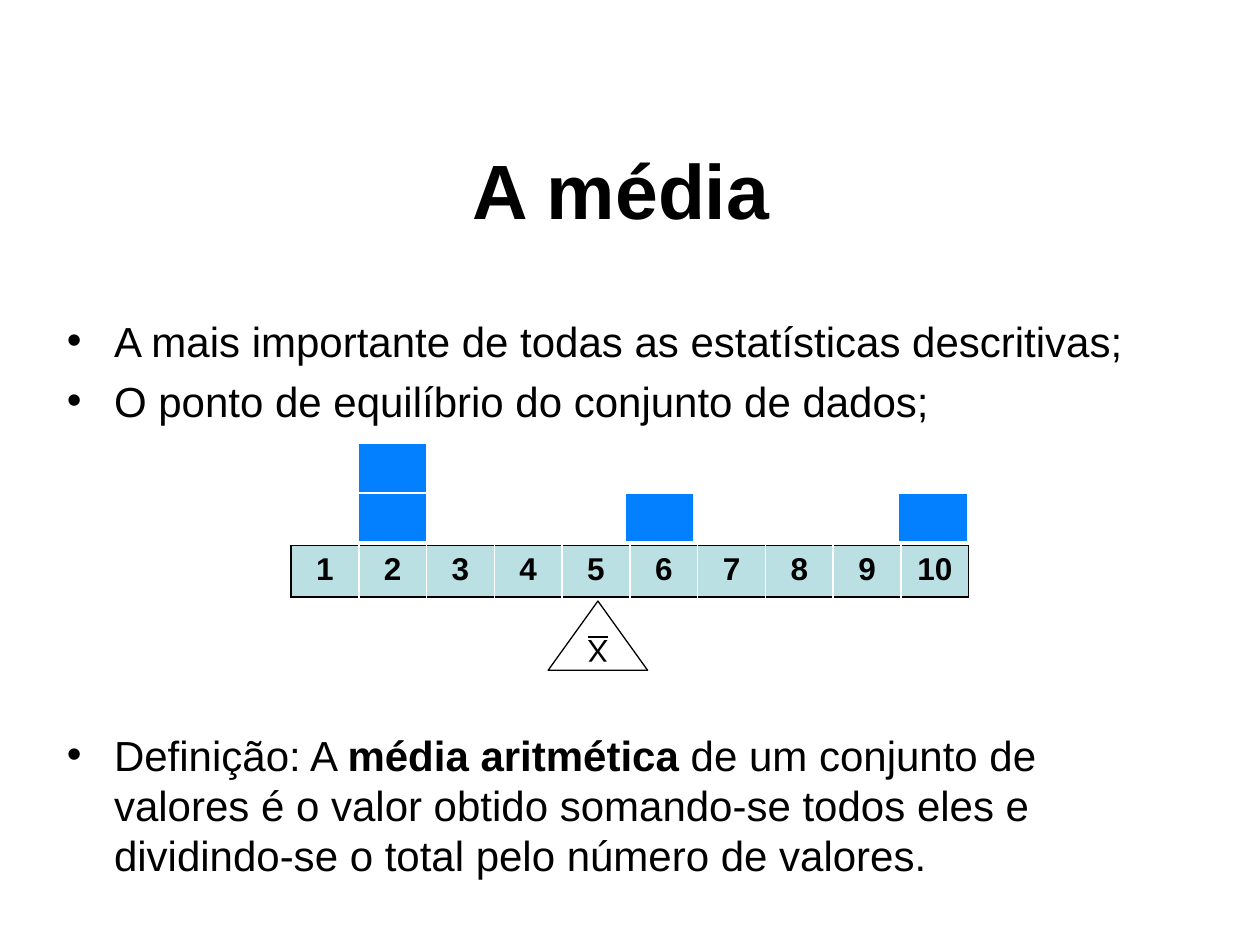
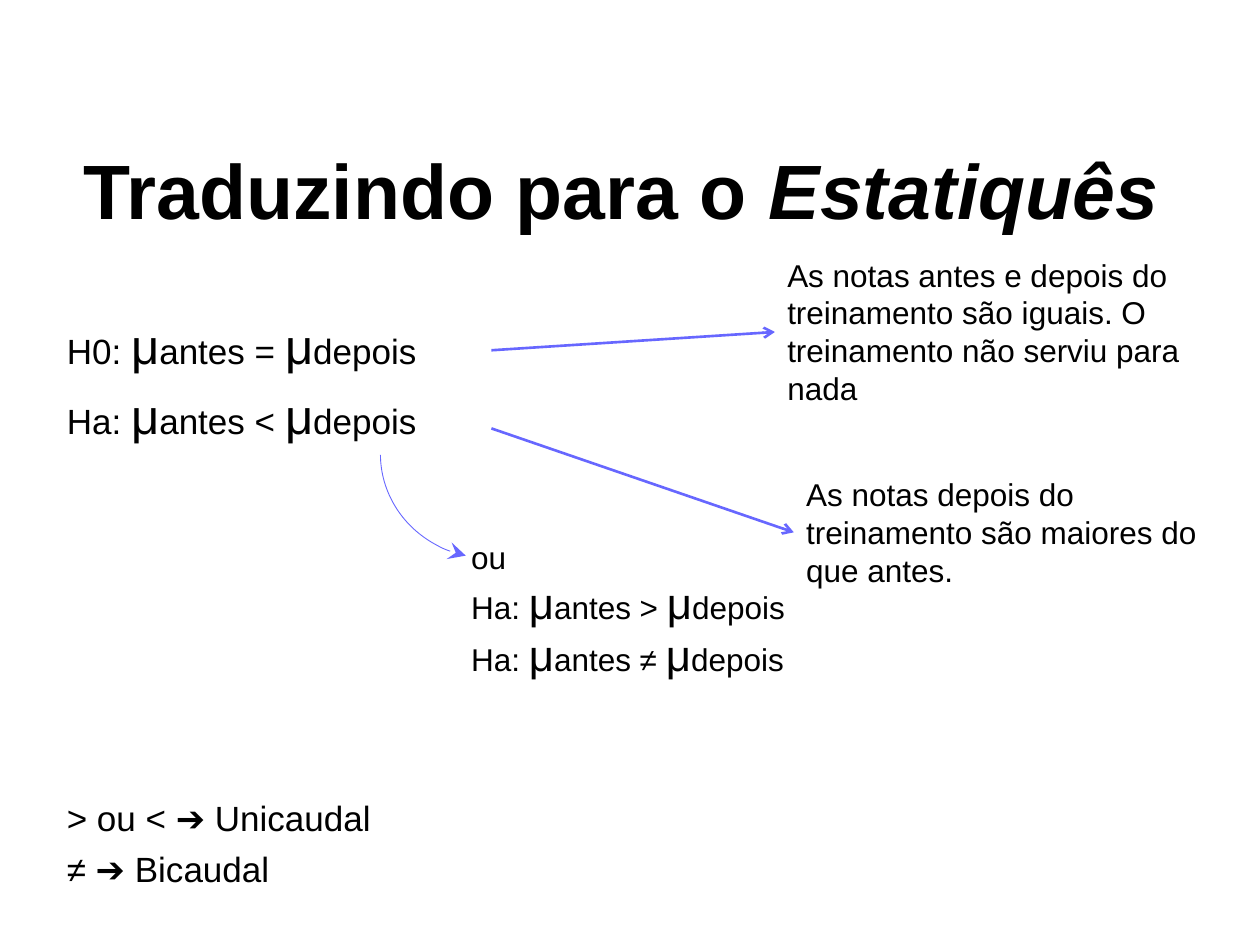
from dataclasses import dataclass

from lxml.etree import SubElement
from pptx import Presentation
from pptx.dml.color import RGBColor
from pptx.enum.shapes import MSO_CONNECTOR as Connector
from pptx.enum.shapes import MSO_SHAPE as Shape
from pptx.enum.text import MSO_ANCHOR as Anchor
from pptx.enum.text import MSO_AUTO_SIZE as AutoSize
from pptx.enum.text import PP_ALIGN as Align
from pptx.oxml.ns import qn
from pptx.util import Pt


@dataclass(frozen=True)
class Theme:
    font: str = "Arial"
    text: RGBColor = RGBColor(0x00, 0x00, 0x00)
    border: RGBColor = RGBColor(0xFF, 0xFF, 0xFF)
    scale_fill: RGBColor = RGBColor(0xBB, 0xE0, 0xE3)
    block: RGBColor = RGBColor(0x02, 0x80, 0xFF)
    arrow: RGBColor = RGBColor(0x67, 0x67, 0xFF)
    title: int = 44
    bullet: int = 24
    hypothesis: int = 20
    hypothesis_mu: int = 28
    label: int = 18
    label_mu: int = 25


THEME = Theme()
TITLE_BOX = (43, 99, 900, 102)
BODY_BOX = (43, 241, 900, 425)
LAYOUT_TITLE_BODY = 1


def px(value):
    """100 px to the inch."""
    return value * 9144


def place(shape, box):
    shape.left, shape.top, shape.width, shape.height = map(px, box)


# ---- Text ----
def style(font, size, bold=False, italic=False):
    font.name = THEME.font
    font.size = Pt(size)
    font.color.rgb = THEME.text
    font.bold = bold
    font.italic = italic


def add_run(paragraph, text, size, bold=False, italic=False):
    run = paragraph.add_run()
    run.text = text
    style(run.font, size, bold, italic)


def add_formula(paragraph, text, size, mu_size):
    """Write the text with every μ enlarged."""
    for index, part in enumerate(text.split("μ")):
        if index:
            add_run(paragraph, "μ", mu_size)
        if part:
            add_run(paragraph, part, size)


def next_paragraph(text_frame, index):
    return text_frame.add_paragraph() if index else text_frame.paragraphs[0]


def add_textbox(slide, box, wrap=True):
    shape = slide.shapes.add_textbox(*map(px, box))
    shape.text_frame.word_wrap = wrap
    shape.text_frame.auto_size = AutoSize.SHAPE_TO_FIT_TEXT
    return shape


def add_title(slide, pieces):
    title = slide.shapes.title
    place(title, TITLE_BOX)
    text_frame = title.text_frame
    text_frame.auto_size = AutoSize.NONE
    text_frame.vertical_anchor = Anchor.MIDDLE
    paragraph = text_frame.paragraphs[0]
    paragraph.alignment = Align.CENTER
    for text, italic in pieces:
        add_run(paragraph, text, THEME.title, bold=True, italic=italic)


def body_frame(slide):
    body = slide.placeholders[1]
    place(body, BODY_BOX)
    text_frame = body.text_frame
    text_frame.auto_size = AutoSize.NONE
    text_frame.margin_top = px(9)
    return text_frame


# ---- Lines ----
def add_arrowhead(shape, end, kind, size="med"):
    shape.line.fill.solid()
    shape.line.color.rgb = THEME.arrow
    line = shape.line._get_or_add_ln()
    SubElement(line, qn(f"a:{end}"), type=kind, w=size, len=size)


def add_arrow_to(slide, start, target):
    """Arrow from a point to the middle of the target's left side."""
    arrow = slide.shapes.add_connector(
        Connector.STRAIGHT, *map(px, start),
        target.left, target.top + target.height // 2)
    arrow.end_connect(target, 1)
    arrow.line.width = Pt(1.5)
    add_arrowhead(arrow, "tailEnd", "arrow")
    SubElement(arrow._element.spPr, qn("a:effectLst"))


# ---- Slide 1: balance diagram ----
def set_cell_border(cell, sides):
    properties = cell._tc.get_or_add_tcPr()
    for position, (side, color) in enumerate(sides.items()):
        line = SubElement(properties, qn(f"a:{side}"), w=str(Pt(1)))
        fill = SubElement(line, qn("a:solidFill"))
        SubElement(fill, qn("a:srgbClr"), val=str(color))
        properties.remove(line)
        properties.insert(position, line)


def add_scale(slide, box, count=10):
    frame = slide.shapes.add_table(1, count, *map(px, box))
    table = frame.table
    table.first_row = table.horz_banding = False
    for index in range(count):
        table.columns[index].width = px(box[2]) // count
        cell = table.cell(0, index)
        cell.fill.solid()
        cell.fill.fore_color.rgb = THEME.scale_fill
        cell.text_frame.text = str(index + 1)
        paragraph = cell.text_frame.paragraphs[0]
        paragraph.alignment = Align.CENTER
        style(paragraph.runs[0].font, THEME.label, bold=True)
        set_cell_border(cell, {
            "lnL": THEME.border if index else THEME.text,
            "lnR": THEME.border if index < count - 1 else THEME.text,
            "lnT": THEME.text,
            "lnB": THEME.text,
        })


def add_block(slide, box):
    block = slide.shapes.add_shape(Shape.RECTANGLE, *map(px, box))
    block.shadow.inherit = False
    block.fill.solid()
    block.fill.fore_color.rgb = THEME.block
    block.line.color.rgb = THEME.border
    block.line.width = Pt(1)


def add_fulcrum(slide, box):
    """Upside-down arrow, so that the underlined X gets a bar on top."""
    fulcrum = slide.shapes.add_shape(Shape.DOWN_ARROW, *map(px, box))
    fulcrum.adjustments[0] = 0.5
    fulcrum.adjustments[1] = 1
    fulcrum.rotation = 180
    fulcrum.shadow.inherit = False
    fulcrum.fill.background()
    fulcrum.line.color.rgb = THEME.text
    fulcrum.line.width = Pt(0.75)
    text_frame = fulcrum.text_frame
    text_frame.word_wrap = False
    text_frame.vertical_anchor = Anchor.MIDDLE
    text_frame.margin_left = text_frame.margin_right = 0
    text_frame.margin_top = text_frame.margin_bottom = 0
    text_frame.text = "X"
    paragraph = text_frame.paragraphs[0]
    paragraph.alignment = Align.CENTER
    style(paragraph.runs[0].font, THEME.label)
    paragraph.runs[0].font.underline = True


def add_balance(slide, left, top):
    block_width, block_height = 55, 39
    add_scale(slide, (left, top + 81, 538, 41))
    # Offset of each stack and the number of blocks in it
    for offset, blocks in ((53, 2), (265, 1), (482, 1)):
        for level in range(blocks):
            add_block(slide, (left + offset, top + block_height * (1 - level),
                              block_width, block_height))
    add_fulcrum(slide, (left + 204, top + 125, 79, 55))


def build_mean_slide(slide):
    add_title(slide, [("A média", False)])
    bullets = [
        (0, [("A mais importante de todas as estatísticas descritivas;", False)]),
        (5.5, [("O ponto de equilíbrio do conjunto de dados;", False)]),
        (173.5, [("Definição: A ", False), ("média aritmética ", True),
                 ("de um conjunto de valores é o valor obtido somando-se "
                  "todos eles e dividindo-se o total pelo número de valores.",
                  False)]),
    ]
    text_frame = body_frame(slide)
    for index, (space, pieces) in enumerate(bullets):
        paragraph = next_paragraph(text_frame, index)
        paragraph.space_before = Pt(space)
        for text, bold in pieces:
            add_run(paragraph, text, THEME.bullet, bold=bold)
    add_balance(slide, 231, 352)


# ---- Slide 2: hypotheses ----
def add_hypotheses(slide):
    lines = [
        (0, "H0: μantes = μdepois"),
        (6.7, "Ha: μantes < μdepois"),
        (201.5, "> ou < ➔ Unicaudal"),
        (5, "≠ ➔ Bicaudal"),
    ]
    text_frame = body_frame(slide)
    for index, (space, text) in enumerate(lines):
        paragraph = next_paragraph(text_frame, index)
        properties = paragraph._p.get_or_add_pPr()
        properties.set("marL", "0")
        properties.set("indent", "0")
        SubElement(properties, qn("a:buNone"))
        paragraph.space_before = Pt(space)
        add_formula(paragraph, text, THEME.hypothesis, THEME.hypothesis_mu)


def add_curved_arrow(slide, box):
    arc = slide.shapes.add_shape(Shape.ARC, *map(px, box))
    arc.adjustments[0] = 61.88
    arc.adjustments[1] = 107.81
    arc.shadow.inherit = False
    arc.fill.background()
    arc.line.width = Pt(0.5)
    add_arrowhead(arc, "headEnd", "stealth", "lg")


def add_alternatives(slide, box):
    text_frame = add_textbox(slide, box, wrap=False).text_frame
    lines = ("ou", "Ha: μantes > μdepois", "Ha: μantes ≠ μdepois")
    for index, text in enumerate(lines):
        paragraph = next_paragraph(text_frame, index)
        add_formula(paragraph, text, THEME.label, THEME.label_mu)


def add_explanation(slide, box, text, arrow_start):
    shape = add_textbox(slide, box)
    shape.text_frame.text = text
    style(shape.text_frame.paragraphs[0].runs[0].font, THEME.label)
    add_arrow_to(slide, arrow_start, shape)


def build_hypotheses_slide(slide):
    add_title(slide, [("Traduzindo para o ", False), ("Estatiquês", True)])
    add_hypotheses(slide)
    add_curved_arrow(slide, (302, 278, 173, 165))
    add_alternatives(slide, (364, 422, 272, 125))
    add_explanation(
        slide, (615, 198, 354, 131),
        "As notas antes e depois do treinamento são iguais. "
        "O treinamento não serviu para nada", (390, 278))
    add_explanation(
        slide, (630, 372, 354, 101),
        "As notas depois do treinamento são maiores do que antes.", (390, 340))


def main():
    presentation = Presentation()
    presentation.slide_width, presentation.slide_height = px(1000), px(750)
    layout = presentation.slide_layouts[LAYOUT_TITLE_BODY]
    for build in (build_mean_slide, build_hypotheses_slide):
        build(presentation.slides.add_slide(layout))
    presentation.save("out.pptx")


if __name__ == "__main__":
    main()
